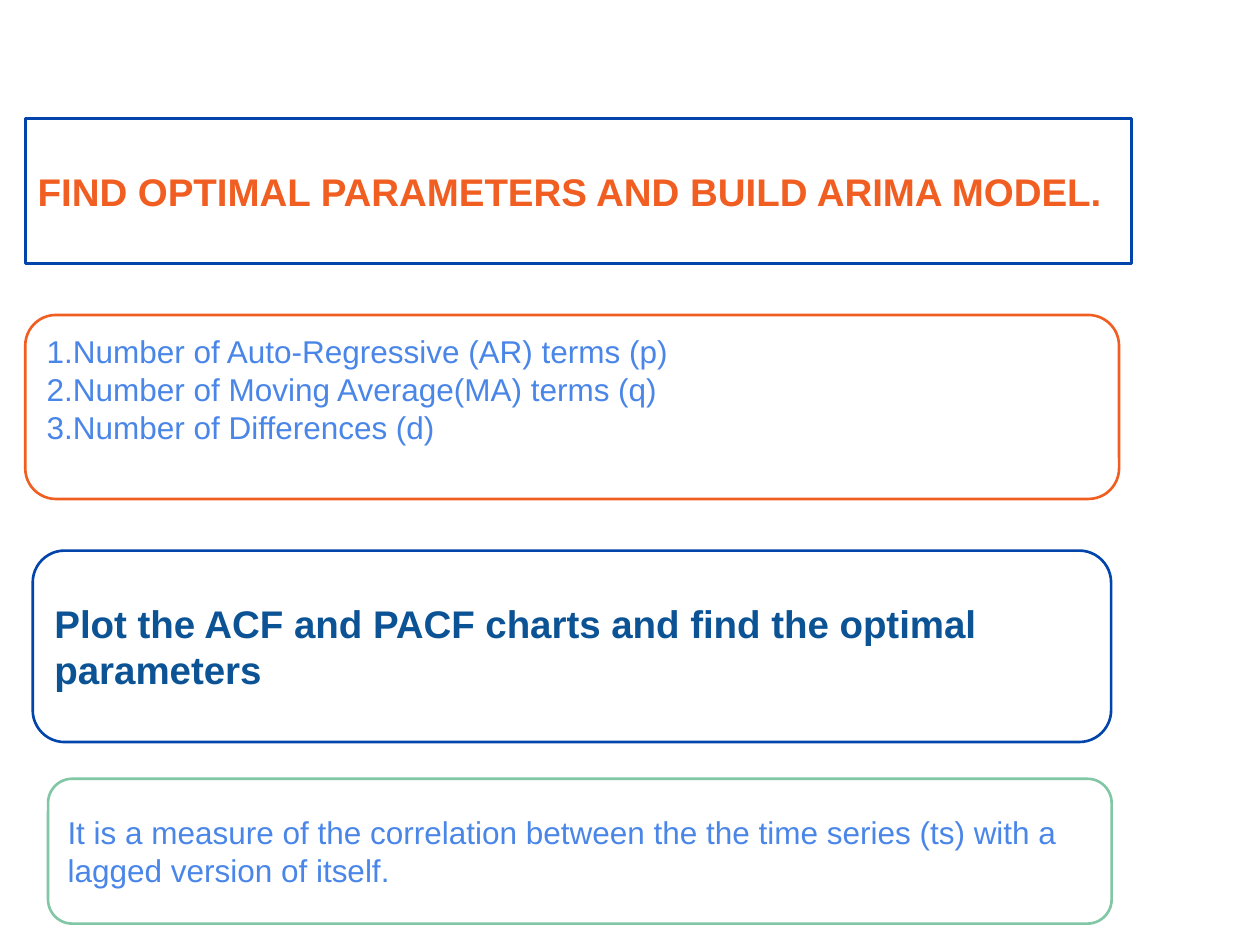
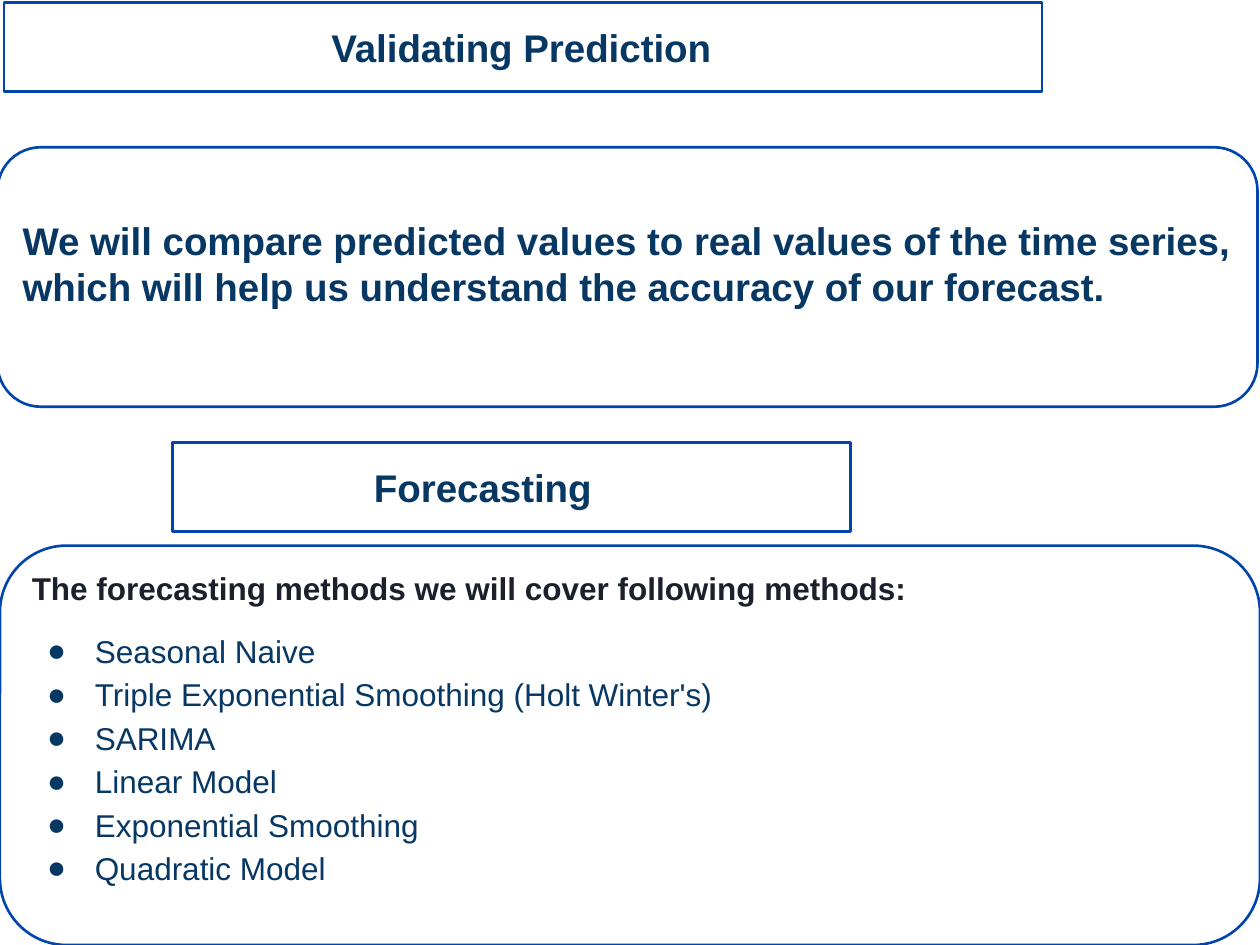
from dataclasses import dataclass

from lxml import etree
from pptx import Presentation
from pptx.dml.color import RGBColor
from pptx.enum.shapes import MSO_SHAPE
from pptx.enum.text import MSO_ANCHOR, MSO_AUTO_SIZE, PP_ALIGN
from pptx.oxml.ns import qn
from pptx.util import Cm, Pt

WHITE = RGBColor(0xFF, 0xFF, 0xFF)
ROYAL = RGBColor(0x01, 0x45, 0xAC)
ORANGE = RGBColor(0xF1, 0x5E, 0x22)
GREEN = RGBColor(0x82, 0xC7, 0xA5)
SKY = RGBColor(0x4A, 0x86, 0xE8)
BLUE = RGBColor(0x0B, 0x53, 0x94)
NAVY = RGBColor(0x07, 0x37, 0x63)
INK = RGBColor(0x1B, 0x21, 0x2C)

FONT = "Arial"
INSET = 0.25
TITLE_AND_CONTENT = 1
TITLE, BODY = 0, 1  # placeholder indexes


@dataclass
class Line:
    text: str
    color: RGBColor
    size: int = 22
    bold: bool = True
    indent: float = 0
    spacing: float = 1.0
    before: int = 0
    bullet: bool = False


@dataclass
class Box:
    place: tuple  # left, top, width, height in cm
    lines: list
    outline: RGBColor = ROYAL
    rounded: bool = True
    bottom: float = INSET
    placeholder: int | None = None


def plain(text):
    return Line(text, SKY, 18, bold=False)


PARAMETERS = [
    "1.Number of Auto-Regressive (AR) terms (p)",
    "2.Number of Moving Average(MA) terms (q)",
    "3.Number of Differences (d)",
]
METHODS = [
    "Seasonal Naive",
    "Triple Exponential Smoothing (Holt Winter's)",
    "SARIMA",
    "Linear Model",
    "Exponential Smoothing",
    "Quadratic Model",
]
METHOD_LINES = [
    Line(method, NAVY, 18, bold=False, indent=1.27, spacing=1.15,
         before=0 if number else 11, bullet=True)
    for number, method in enumerate(METHODS)
]

SLIDES = [
    [
        Box((0.51, 2.39, 22.3, 2.92),
            [Line("FIND OPTIMAL PARAMETERS AND BUILD ARIMA MODEL.", ORANGE)],
            placeholder=TITLE),
        Box((0.51, 6.35, 22.05, 3.71), [plain(text) for text in PARAMETERS],
            outline=ORANGE, bottom=0.98, placeholder=BODY),
        Box((0.66, 11.1, 21.74, 3.86),
            [Line("Plot the ACF and PACF charts and find the optimal parameters",
                  BLUE)]),
        Box((0.97, 15.7, 21.44, 2.92),
            [plain("It is a measure of the correlation between the the time "
                   "series (ts) with a lagged version of itself.")],
            outline=GREEN),
    ],
    [
        Box((0.08, 0.05, 20.93, 1.8),
            [Line("Validating Prediction", NAVY, indent=6.35)],
            rounded=False, placeholder=TITLE),
        Box((-0.05, 2.97, 25.4, 5.23),
            [Line("We will compare predicted values to real values of the time "
                  "series, which will help us understand the accuracy of our "
                  "forecast.", NAVY)],
            bottom=0.82),
        Box((3.48, 8.92, 13.67, 1.8), [Line("Forecasting", NAVY, indent=3.81)],
            rounded=False),
        Box((0, 11, 25.4, 8.05),
            [Line("The forecasting methods we will cover following methods:",
                  INK, 18, spacing=1.15)] + METHOD_LINES,
            bottom=1.06, placeholder=BODY),
    ],
]


def set_bullet(paragraph, line):
    properties = paragraph._p.get_or_add_pPr()
    properties.set("marL", str(Cm(line.indent)))
    properties.set("indent", str(Cm(-0.96 if line.bullet else 0)))
    if line.bullet:
        color = etree.SubElement(properties, qn("a:buClr"))
        etree.SubElement(color, qn("a:srgbClr"), val=str(line.color))
        etree.SubElement(properties, qn("a:buChar"), char="●")
    else:
        etree.SubElement(properties, qn("a:buNone"))


def write_line(paragraph, line):
    paragraph.text = line.text
    paragraph.alignment = PP_ALIGN.LEFT
    paragraph.line_spacing = line.spacing
    paragraph.space_before = Pt(line.before)
    set_bullet(paragraph, line)
    font = paragraph.font
    font.name = FONT
    font.size = Pt(line.size)
    font.bold = line.bold
    font.color.rgb = line.color


def place_shape(slide, box):
    """Return the box's outline, as a reshaped placeholder where it has one."""
    place = [Cm(length) for length in box.place]
    if box.placeholder is None:
        preset = MSO_SHAPE.ROUNDED_RECTANGLE if box.rounded else MSO_SHAPE.RECTANGLE
        shape = slide.shapes.add_shape(preset, *place)
        shape.shadow.inherit = False
        return shape
    shape = slide.placeholders[box.placeholder]
    shape.left, shape.top, shape.width, shape.height = place
    geometry = etree.SubElement(shape._element.spPr, qn("a:prstGeom"),
                                prst="roundRect" if box.rounded else "rect")
    etree.SubElement(geometry, qn("a:avLst"))
    return shape


def add_box(slide, box):
    shape = place_shape(slide, box)
    shape.fill.solid()
    shape.fill.fore_color.rgb = WHITE
    shape.line.color.rgb = box.outline
    shape.line.width = Pt(1.5)

    frame = shape.text_frame
    frame.word_wrap = True
    frame.auto_size = MSO_AUTO_SIZE.NONE
    frame.vertical_anchor = MSO_ANCHOR.MIDDLE
    frame.margin_left = frame.margin_right = frame.margin_top = Cm(INSET)
    frame.margin_bottom = Cm(box.bottom)
    for number, line in enumerate(box.lines):
        paragraph = frame.add_paragraph() if number else frame.paragraphs[0]
        write_line(paragraph, line)


def main():
    presentation = Presentation()
    presentation.slide_width, presentation.slide_height = Cm(25.4), Cm(19.05)
    layout = presentation.slide_layouts[TITLE_AND_CONTENT]
    for boxes in SLIDES:
        slide = presentation.slides.add_slide(layout)
        for box in boxes:
            add_box(slide, box)
    presentation.save("out.pptx")


if __name__ == "__main__":
    main()
